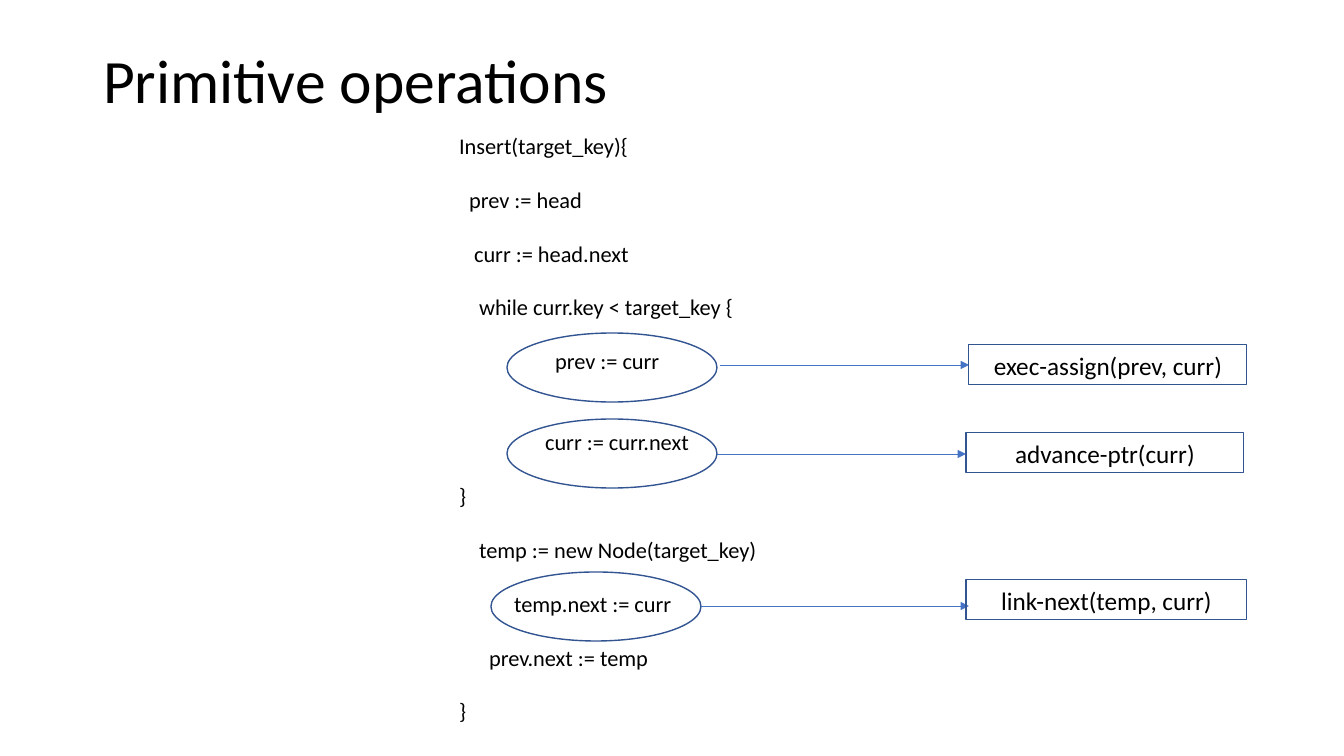
from lxml import etree
from pptx import Presentation
from pptx.dml.color import RGBColor
from pptx.enum.shapes import MSO_CONNECTOR, MSO_SHAPE
from pptx.enum.text import MSO_ANCHOR, MSO_AUTO_SIZE, PP_ALIGN
from pptx.oxml.ns import qn
from pptx.util import Pt

ELLIPSE, RECT = MSO_SHAPE.OVAL, MSO_SHAPE.RECTANGLE
STRAIGHT = MSO_CONNECTOR.STRAIGHT
TOP, MIDDLE = MSO_ANCHOR.TOP, MSO_ANCHOR.MIDDLE
LEFT, CENTER = PP_ALIGN.LEFT, PP_ALIGN.CENTER
NO_FIT = MSO_AUTO_SIZE.NONE

FONT = "Calibri"
BLACK, OUTLINE, ARROW = "000000", "325491", "4472C4"
LINE_H = 27

CODE = [
    ("Insert(target_key){", 0, 0),
    ("prev := head", 10, 1),
    ("curr := head.next", 15, 1),
    ("while curr.key < target_key {", 20, 1),
    ("prev := curr", 96, 1),
    ("curr := curr.next", 86, 2),
    ("}", 0, 1),
    ("temp := new Node(target_key)", 20, 1),
    ("temp.next := curr", 55, 1),
    ("prev.next := temp", 30, 1),
    ("}", 0, 1),
]

OPERATIONS = [
    ("exec-assign(prev, curr)", (507, 333, 740, 69), (213, 462, 32), (462, 12, 278)),
    ("advance-ptr(curr)", (507, 419, 738, 69), (210, 459, 35), (459, 14, 278)),
    ("link-next(temp, curr)", (491, 572, 756, 69), (210, 478, 34), (475, 8, 281)),
]


def px(n):
    return round(n * 914400 / 100.8)


def color(value):
    return RGBColor.from_string(value)


def place(sp, box):
    sp.left, sp.top, sp.width, sp.height = map(px, box)


def add_run(p, text, size):
    r = p.add_run()
    r.text = text
    r.font.name, r.font.size = FONT, Pt(size)
    r.font.color.rgb = color(BLACK)


def set_frame(tf, anchor):
    tf.word_wrap = True
    tf.auto_size = NO_FIT
    tf.vertical_anchor = anchor


def add_title(s, box, text):
    sp = s.shapes.title
    place(sp, box)
    set_frame(sp.text_frame, MIDDLE)
    p = sp.text_frame.paragraphs[0]
    p.alignment, p.line_spacing = LEFT, 0.9
    add_run(p, text, 44)


def add_code(s, box, lines):
    sp = s.placeholders[1]
    place(sp, box)
    tf = sp.text_frame
    set_frame(tf, TOP)
    for i, (text, indent, gap) in enumerate(lines):
        p = tf.add_paragraph() if i else tf.paragraphs[0]
        p.alignment = LEFT
        p.space_before, p.space_after = px(gap * LINE_H), 0
        pPr = p._p.get_or_add_pPr()
        pPr.set("marL", str(px(indent)))
        pPr.set("indent", "0")
        etree.SubElement(pPr, qn("a:buNone"))
        add_run(p, text, 16)


def add_outline(s, kind, box, width):
    sp = s.shapes.add_shape(kind, *map(px, box))
    sp.shadow.inherit = False
    sp.fill.background()
    sp.line.color.rgb = color(OUTLINE)
    sp.line.width = Pt(width)
    return sp


def add_arrow(s, x1, x2, y):
    line = s.shapes.add_connector(STRAIGHT, px(x1), px(y), px(x2), px(y))
    line.line.color.rgb = color(ARROW)
    line.line.width = Pt(0.5)
    etree.SubElement(line.line._get_or_add_ln(), qn("a:tailEnd"), type="triangle")
    etree.SubElement(line._element.spPr, qn("a:effectLst"))


def add_operation(s, box, text, arrow, label):
    x, y, _, h = box
    add_outline(s, ELLIPSE, (x, y, 210, h), 1)
    start, end, mid = arrow
    add_arrow(s, x + start, x + end, y + mid)
    dx, dy, w = label
    sp = add_outline(s, RECT, (x + dx, y + dy, w, 40), 0.75)
    set_frame(sp.text_frame, MIDDLE)
    p = sp.text_frame.paragraphs[0]
    p.alignment = CENTER
    add_run(p, text, 18)


prs = Presentation()
prs.slide_width, prs.slide_height = px(1344), px(756)
s = prs.slides.add_slide(prs.slide_layouts[1])
add_title(s, (93, 40, 1159, 87), "Primitive operations")
add_code(s, (449, 127, 409, 629), CODE)
for text, box, arrow, label in OPERATIONS:
    add_operation(s, box, text, arrow, label)
prs.save("out.pptx")
